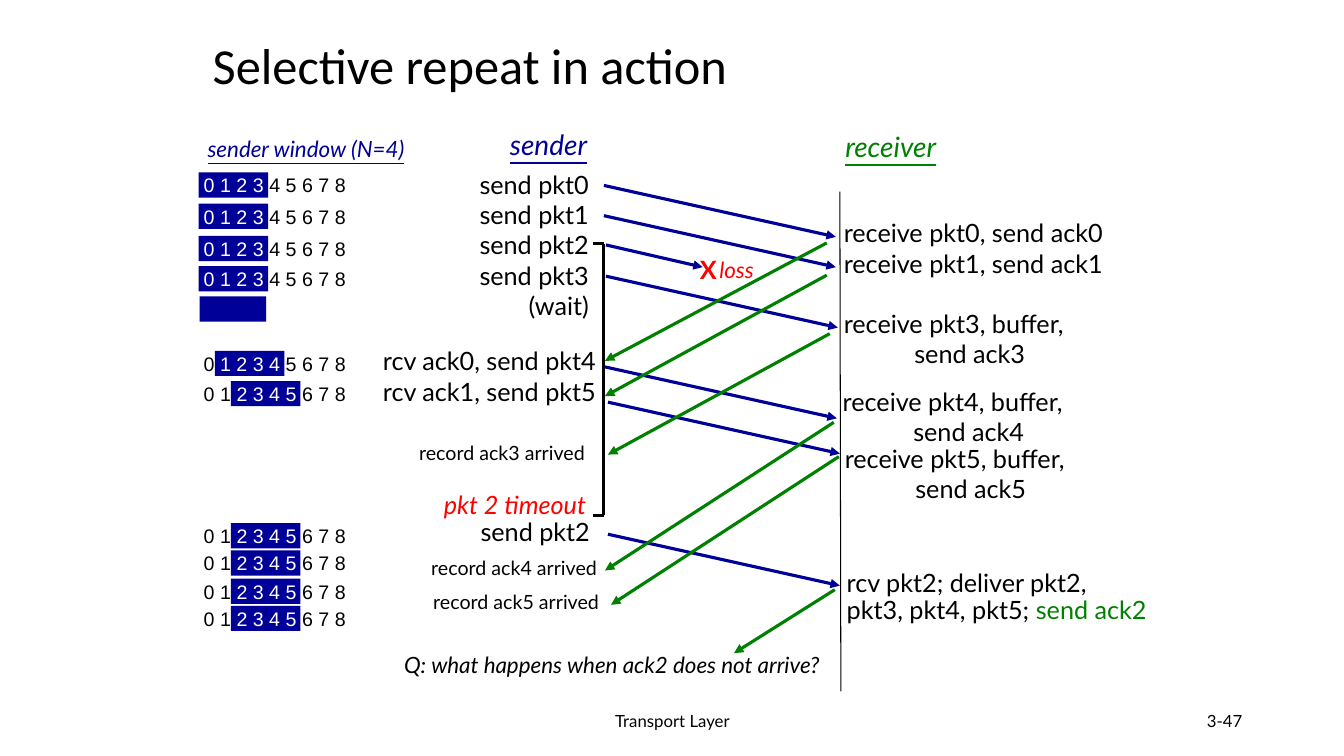
from lxml import etree
from pptx import Presentation
from pptx.dml.color import RGBColor
from pptx.enum.shapes import MSO_CONNECTOR as CONN, MSO_SHAPE as SHAPE
from pptx.enum.text import MSO_ANCHOR as ANCHOR, PP_ALIGN as ALIGN
from pptx.oxml.ns import qn
from pptx.util import Emu, Pt

PX = 9144  # 100 px to the inch
COLORS = {"ink": "000000", "data": "000099", "ack": "008000",
          "loss": "FF0000", "white": "FFFFFF"}


def px(n):
    return Emu(n * PX)


def rgb(name):
    return RGBColor.from_string(COLORS[name])


def write(sp, lines, size=18, color="ink", font="Lato", italic=False, bold=False,
          underline=False, align=ALIGN.LEFT, anchor=ANCHOR.TOP, spacing=None,
          indent=0):
    """Fill a shape; a line is a string or a list of (text, colour) runs.

    Lines after the first are indented by indent px.
    """
    tf = sp.text_frame
    tf.word_wrap = align == ALIGN.RIGHT  # keeps the right edge fixed
    tf.vertical_anchor = anchor
    for i, line in enumerate(lines):
        p = tf.add_paragraph() if i else tf.paragraphs[0]
        p.alignment = align
        if spacing:
            p.line_spacing = spacing
        if i and indent:
            p._p.get_or_add_pPr().set("marL", str(px(indent)))
        for words, tint in [(line, color)] if isinstance(line, str) else line:
            r = p.add_run()
            r.text = words
            f = r.font
            f.name, f.size = font, Pt(size)
            f.italic, f.bold, f.underline = italic, bold, underline
            f.color.rgb = rgb(tint)


def text(s, x, y, w, h, *lines, **fmt):
    sp = s.shapes.add_textbox(px(x), px(y), px(w), px(h))
    write(sp, lines, **fmt)


def line(s, x1, y1, x2, y2, color="ink", width=2.25, arrow=False):
    c = s.shapes.add_connector(CONN.STRAIGHT, px(x1), px(y1), px(x2), px(y2))
    c.line.color.rgb = rgb(color)
    c.line.width = Pt(width)
    if arrow:
        etree.SubElement(c.line._get_or_add_ln(), qn("a:tailEnd"), type="triangle")
    etree.SubElement(c._element.spPr, qn("a:effectLst"))


def block(s, x, y, w, h):
    sp = s.shapes.add_shape(SHAPE.RECTANGLE, px(x), px(y), px(w), px(h))
    sp.shadow.inherit = False
    sp.fill.solid()
    sp.fill.fore_color.rgb = rgb("data")
    sp.line.fill.background()


def title(s, x, y, w, h):
    sp = s.shapes.title
    sp.left, sp.top, sp.width, sp.height = map(px, (x, y, w, h))
    write(sp, ["Selective repeat in action"], size=36, font="Calibri",
          anchor=ANCHOR.MIDDLE, spacing=0.9)


def footer(s, x, y, w, h):
    text(s, x, y, 450, h, "Transport Layer", size=12, align=ALIGN.CENTER,
         anchor=ANCHOR.MIDDLE)
    text(s, x + w - 300, y, 300, h, "3-47", size=12, align=ALIGN.RIGHT,
         anchor=ANCHOR.MIDDLE)


def window_column(s, x, y, w):
    """Sequence numbers 0-8 with the four in the window highlighted."""
    text(s, x, y, w, 37, "sender window (N=4)", size=16, color="data",
         italic=True, underline=True, align=ALIGN.CENTER)
    block(s, x + 12, y + 165, 66, 25)  # empty window while waiting
    digits = " ".join(str(n) for n in range(9))
    rows = [(0, 42), (0, 73), (0, 105), (0, 135), (1, 219), (2, 249),
            (2, 390), (2, 417), (2, 445), (2, 472)]
    for base, dy in rows:
        block(s, x + 11 + 16 * base, y + dy, 69, 25)
        start, end = 2 * base, 2 * base + 7
        runs = [(digits[:start], "ink"), (digits[start:end], "white"),
                (digits[end:], "ink")]
        text(s, x + 4, y + dy - 4, 165, 33, [r for r in runs if r[0]],
             size=14, font="Arial", align=ALIGN.CENTER)


def sender_column(s, x, y):
    text(s, x + 128, y, 102, 43, "sender", size=20, color="data", italic=True,
         underline=True, align=ALIGN.CENTER)
    text(s, x + 93, y + 41, 136, 160, *[f"send pkt{n}" for n in range(4)],
         "(wait)", align=ALIGN.RIGHT)
    text(s, x, y + 216, 236, 70, "rcv ack0, send pkt4", "rcv ack1, send pkt5",
         align=ALIGN.RIGHT)
    text(s, x + 58, y + 366, 168, 33, "pkt 2 timeout", color="loss", italic=True,
         align=ALIGN.RIGHT, spacing=0.75)
    text(s, x + 94, y + 389, 136, 37, "send pkt2", align=ALIGN.RIGHT, spacing=0.9)
    for n, dx, dy in [(3, 40, 311), (4, 52, 425), (5, 54, 458)]:
        text(s, x + dx, y + dy, 186, 33, f"record ack{n} arrived", size=14,
             align=ALIGN.CENTER)
    text(s, x + 4, y + 519, 476, 37, "Q: what happens when ack2 does not arrive?",
         size=16, italic=True, align=ALIGN.CENTER)


def receiver_column(s, x, y):
    text(s, x - 1, y, 117, 43, "receiver", size=20, color="ack", italic=True,
         underline=True, align=ALIGN.CENTER)
    line(s, x + 7, y + 66, x + 8, y + 562, width=0.75)
    text(s, x + 1, y + 87, 281, 70,
         *[f"receive pkt{n}, send ack{n}" for n in range(2)])
    for n, dx, dy in [(3, 1, 177), (4, 0, 254), (5, 2, 311)]:
        text(s, x + dx, y + dy, 252, 70, f"receive pkt{n}, buffer,",
             f"send ack{n}", indent=70)
    text(s, x + 4, y + 437, 326, 65, "rcv pkt2; deliver pkt2,",
         [("pkt3, pkt4, pkt5; ", "ink"), ("send ack2", "ack")], spacing=0.9)


def exchange(s, x, y, h):
    """Timeout bracket, packets and acknowledgements between the two sides."""
    line(s, x, y, x, y + h)
    for dy in (0, h):
        line(s, x, y + dy, x - 11, y + dy)
    # packets that arrive share one slope
    for dx, dy in [(0, -58), (0, -28), (2, 32), (1, 122), (4, 157), (4, 288)]:
        line(s, x + dx, y + dy, x + dx + 230, y + dy + 51, "data", arrow=True)
    # lost packet
    line(s, x + 2, y + 1, x + 98, y + 23, "data", arrow=True)
    text(s, x + 85, y + 5, 37, 40, "X", color="loss", bold=True, align=ALIGN.CENTER)
    text(s, x + 103, y + 7, 57, 37, "loss", size=16, color="loss", italic=True,
         align=ALIGN.CENTER)
    acks = [(221, -1, 1, 116), (221, 31, 1, 151), (224, 89, 4, 209),
            (228, 177, 1, 324), (233, 211, 7, 358), (229, 343, 129, 406)]
    for x1, y1, x2, y2 in acks:
        line(s, x + x1, y + y1, x + x2, y + y2, "ack", arrow=True)


def main():
    prs = Presentation()
    prs.slide_width, prs.slide_height = px(1333), px(750)
    s = prs.slides.add_slide(prs.slide_layouts[5])
    title(s, 201, 22, 850, 92)
    window_column(s, 186, 129, 235)
    sender_column(s, 365, 122)
    receiver_column(s, 826, 124)
    exchange(s, 599, 242, 269)
    footer(s, 442, 695, 800, 40)
    prs.save("out.pptx")


if __name__ == "__main__":
    main()
